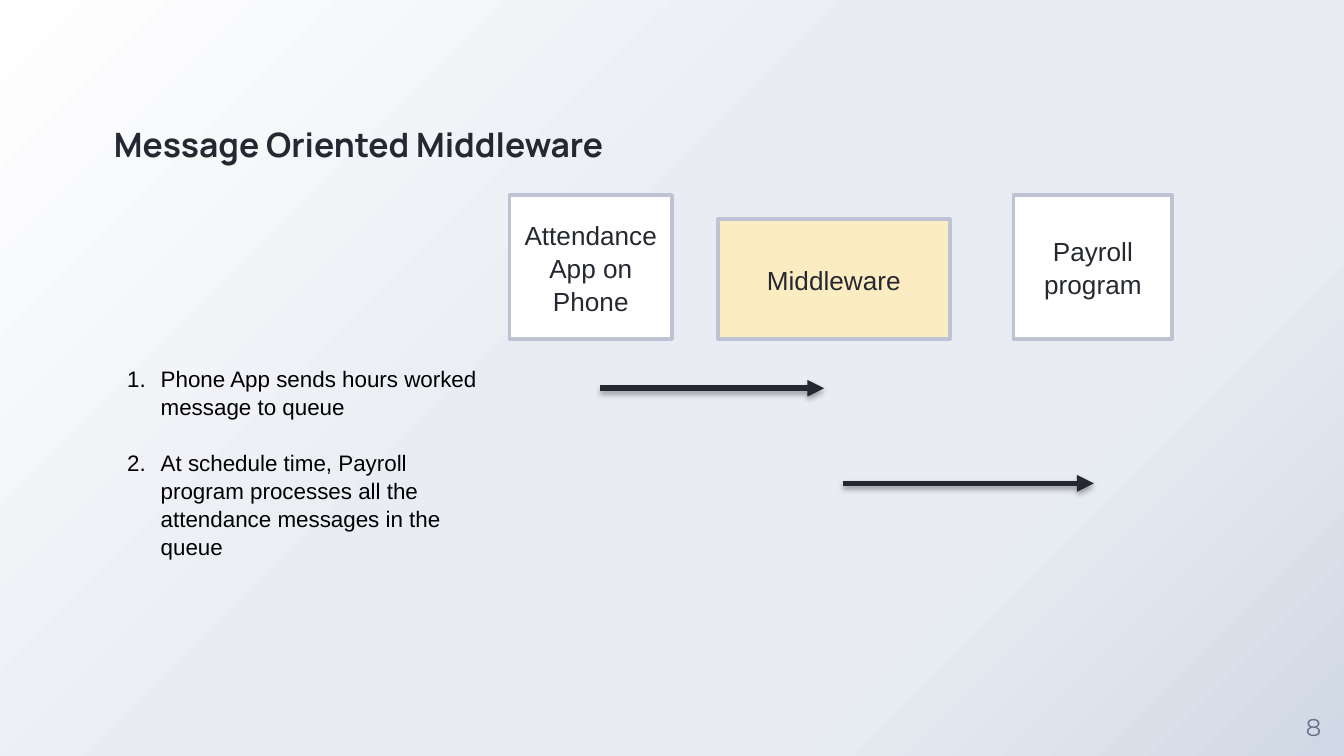
"""Builds the message oriented middleware slide."""
from lxml.etree import SubElement
from pptx import Presentation
from pptx.dml.color import RGBColor
from pptx.enum.shapes import MSO_CONNECTOR, MSO_SHAPE
from pptx.enum.text import MSO_ANCHOR, MSO_AUTO_SIZE, PP_ALIGN
from pptx.oxml.ns import qn
from pptx.util import Pt

RECT = MSO_SHAPE.RECTANGLE
LINE = MSO_CONNECTOR.STRAIGHT
TOP, MIDDLE, BOTTOM = MSO_ANCHOR.TOP, MSO_ANCHOR.MIDDLE, MSO_ANCHOR.BOTTOM
LEFT, CENTER = PP_ALIGN.LEFT, PP_ALIGN.CENTER
FIXED = MSO_AUTO_SIZE.NONE

INK, EDGE, GREY = "252831", "BDC3D3", "68728D"
WHITE, CREAM, BLACK = "FFFFFF", "FCECC2", "000000"
STOPS = [(0, "FFFFFF"), (44, "E9EDF3"), (72, "E9EDF3"), (100, "D0D8E5")]


def color(code):
    return RGBColor.from_string(code)


def node(parent, tag, **attrs):
    return SubElement(parent, qn(tag), {k: str(v) for k, v in attrs.items()})


class Page:
    """Holds the style and the current slide."""

    def __init__(self, deck):
        self.slide = deck.slides.add_slide(deck.slide_layouts[5])
        self.shapes = self.slide.shapes

    def style(self, par, size, code, font="Arial", bold=False, align=LEFT):
        par.alignment = align
        for run in par.runs:
            run.font.size = Pt(size)
            run.font.name = font
            run.font.bold = bold
            run.font.color.rgb = color(code)

    def frame(self, shape, anchor, inset=None):
        frame = shape.text_frame
        frame.word_wrap = True
        frame.auto_size = FIXED
        frame.vertical_anchor = anchor
        if inset is not None:
            frame.margin_left = frame.margin_right = Pt(inset)
            frame.margin_top = frame.margin_bottom = Pt(inset)
        return frame

    def ground(self, stops):
        fill = self.slide.background.fill
        fill.gradient()
        fill.gradient_angle = 315
        group = self.slide.element.find(".//" + qn("a:gsLst"))
        group.clear()
        for pos, code in stops:
            node(node(group, "a:gs", pos=pos * 1000), "a:srgbClr", val=code)

    def title(self, text, x, y, w, h):
        shape = self.shapes.title
        shape.left, shape.top = Pt(x), Pt(y)
        shape.width, shape.height = Pt(w), Pt(h)
        frame = self.frame(shape, BOTTOM, 0)
        frame.text = text
        self.style(frame.paragraphs[0], 18, INK, "Manrope", True)

    def number(self, text, x, y, side):
        shape = self.shapes.add_textbox(Pt(x), Pt(y), Pt(side), Pt(side))
        frame = self.frame(shape, MIDDLE, 0)
        frame.text = text
        self.style(frame.paragraphs[0], 13, GREY, "Montserrat", align=CENTER)

    def box(self, text, x, w, h, base, fill):
        shape = self.shapes.add_shape(RECT, Pt(x), Pt(base - h), Pt(w), Pt(h))
        shape.shadow.inherit = False
        shape.fill.solid()
        shape.fill.fore_color.rgb = color(fill)
        shape.line.color.rgb = color(EDGE)
        shape.line.width = Pt(2)
        frame = self.frame(shape, MIDDLE)
        frame.text = text
        par = frame.paragraphs[0]
        par.line_spacing = 1.05
        self.style(par, 14, INK, align=CENTER)

    def steps(self, items, x, y, w, h):
        shape = self.shapes.add_textbox(Pt(x), Pt(y), Pt(w), Pt(h))
        frame = self.frame(shape, TOP)
        frame.text = "\n".join(items)
        for i, par in enumerate(frame.paragraphs):
            par.line_spacing = 1.05
            par.space_before = Pt(14.4 if i else 0)
            self.style(par, 12, BLACK)
            props = par._p.get_or_add_pPr()
            props.set("marL", str(Pt(18)))
            props.set("indent", str(-Pt(18)))
            node(node(props, "a:buClr"), "a:srgbClr", val=BLACK)
            node(props, "a:buFont", typeface="Arial")
            node(props, "a:buAutoNum", type="arabicPeriod")

    def arrow(self, start, end, y):
        line = self.shapes.add_connector(LINE, Pt(start), Pt(y), Pt(end), Pt(y))
        line.line.color.rgb = color(INK)
        line.line.width = Pt(3)
        props = line.element.spPr
        node(props.find(qn("a:ln")), "a:tailEnd", type="triangle")
        shade = node(node(props, "a:effectLst"), "a:outerShdw",
                     blurRad=Pt(3.1), dist=Pt(1.8), dir=5400000, rotWithShape=0)
        node(node(shade, "a:srgbClr", val=BLACK), "a:alpha", val=35000)


def main():
    deck = Presentation()
    deck.slide_width, deck.slide_height = Pt(720), Pt(405)
    page = Page(deck)
    page.ground(STOPS)
    page.title("Message Oriented Middleware", 61, 11, 282, 77)
    page.number("8", 687.5, 373, 32.5)

    base = 181.5
    page.box("Attendance App on Phone", 273, 87, 77, base, WHITE)
    page.box("Payroll program", 543, 85, 77, base, WHITE)
    page.box("Middleware", 384.5, 124.5, 64, base, CREAM)

    page.steps([
        "Phone App sends hours worked message to queue",
        "At schedule time, Payroll program processes all the "
        "attendance messages in the queue",
    ], 61, 191.5, 204, 124)
    page.arrow(321.5, 441.5, 208)
    page.arrow(451.5, 586, 259)
    deck.save("out.pptx")


if __name__ == "__main__":
    main()
